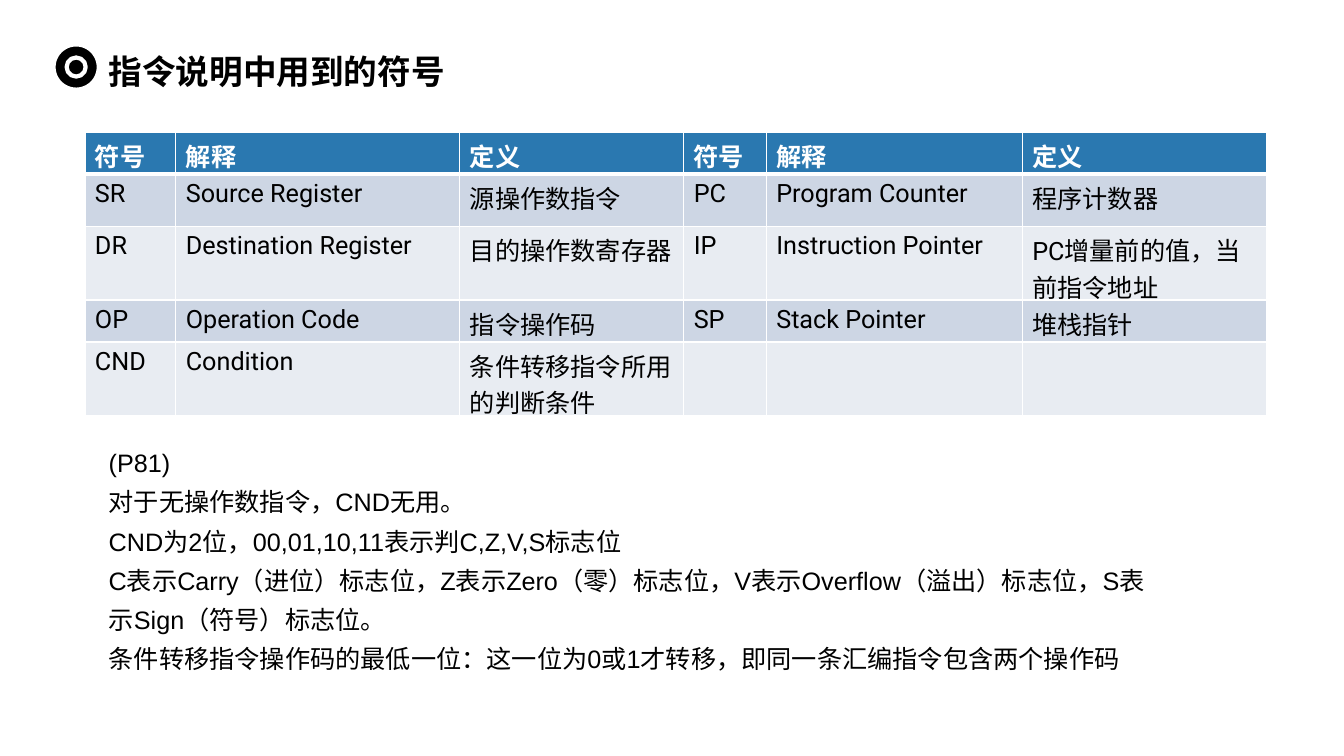
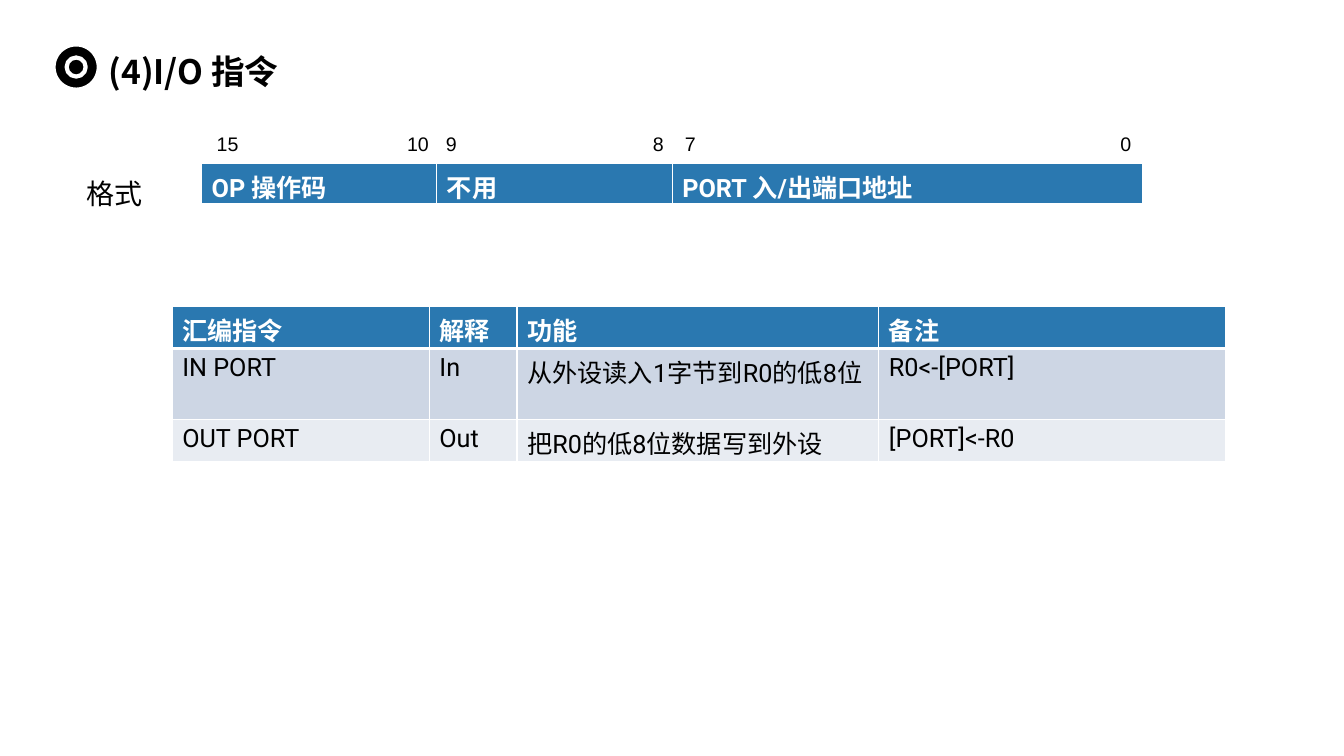
import pptx
import pptx.util
import pptx.dml.color
import pptx.enum.shapes
import pptx.enum.text
import pptx.oxml
import pptx.oxml.ns

Cm = pptx.util.Cm
Pt = pptx.util.Pt

COLORS = {
    "text": "000000",
    "white": "FFFFFF",
    "header": "2A78B0",
    "odd_row": "CDD6E4",
    "even_row": "E8ECF2",
}
RGB = {name: pptx.dml.color.RGBColor.from_string(value) for name, value in COLORS.items()}
CJK_FONT = "Noto Sans CJK SC"
NAMESPACE = pptx.oxml.ns.nsdecls("a")

SYMBOL_ROWS = [
    ["符号", "解释", "定义", "符号", "解释", "定义"],
    ["SR", "Source Register", "源操作数指令", "PC", "Program Counter", "程序计数器"],
    ["DR", "Destination Register", "目的操作数寄存器",
     "IP", "Instruction Pointer", "PC增量前的值，当前指令地址"],
    ["OP", "Operation Code", "指令操作码", "SP", "Stack Pointer", "堆栈指针"],
    ["CND", "Condition", "条件转移指令所用的判断条件", "", "", ""],
]
FORMAT_ROWS = [["OP 操作码", "不用", "PORT 入/出端口地址"]]
IO_ROWS = [
    ["汇编指令", "解释", "功能", "备注"],
    ["IN PORT", "In", "从外设读入1字节到R0的低8位", "R0<-[PORT]"],
    ["OUT PORT", "Out", "把R0的低8位数据写到外设", "[PORT]<-R0"],
]
SYMBOL_NOTES = [
    "(P81)",
    "对于无操作数指令，CND无用。",
    "CND为2位，00,01,10,11表示判C,Z,V,S标志位",
    "C表示Carry（进位）标志位，Z表示Zero（零）标志位，V表示Overflow（溢出）标志位，S表示Sign（符号）标志位。",
    "条件转移指令操作码的最低一位：这一位为0或1才转移，即同一条汇编指令包含两个操作码",
]

# One entry per slide: texts are (left, top, width, height, size, lines, tab stops),
# tables are (left, top, column widths, row heights, rows), all lengths in centimetres.
SLIDES = [
    {
        "title": "指令说明中用到的符号",
        "tables": [(2.14, 3.33, [2.29, 7.16, 5.64, 2.08, 6.45, 6.15],
                    [1.06, 1.32, 1.85, 1.06, 1.85], SYMBOL_ROWS)],
        "texts": [(2.49, 10.92, 26.92, 6.25, 18, SYMBOL_NOTES, [])],
    },
    {
        "title": "(4)I/O 指令",
        "tables": [
            (5.08, 4.11, [5.93, 5.93, 11.85], [1.06], FORMAT_ROWS),
            (4.34, 7.72, [6.48, 2.21, 9.12, 8.74], [1.06, 1.79, 1.06], IO_ROWS),
        ],
        "texts": [
            (5.21, 3.02, 24.05, 1.04, 14, ["15\t10\t9\t8\t7\t0"],
             [("r", 5.35), ("l", 5.78), ("r", 11.27), ("l", 11.8), ("r", 23.05)]),
            (1.93, 4.06, 2.2, 1.37, 20, ["格式"], []),
        ],
    },
]


def format_runs(para, size, font, color, bold=False):
    """Style every run, naming a Chinese font next to the Latin one."""
    for span in para.runs:
        span.font.size = Pt(size)
        span.font.bold = bold
        span.font.color.rgb = RGB[color]
        span.font.name = font
        span.font._element.append(
            pptx.oxml.parse_xml(f'<a:ea {NAMESPACE} typeface="{CJK_FONT}"/>'))


def add_text(page, place, lines, size, font, spacing, bold=False, tabs=()):
    box = page.shapes.add_textbox(*[Cm(length) for length in place])
    frame = box.text_frame
    frame.word_wrap = True
    for index, line in enumerate(lines):
        para = frame.paragraphs[0] if index == 0 else frame.add_paragraph()
        para.text = line
        para.line_spacing = spacing
        if tabs:
            stops = "".join(f'<a:tab pos="{Cm(stop)}" algn="{side}"/>' for side, stop in tabs)
            para._p.get_or_add_pPr().append(
                pptx.oxml.parse_xml(f"<a:tabLst {NAMESPACE}>{stops}</a:tabLst>"))
        format_runs(para, size, font, "text", bold)
    return box


deck = pptx.Presentation()
deck.slide_width = Cm(33.87)
deck.slide_height = Cm(19.05)

for content in SLIDES:
    page = deck.slides.add_slide(deck.slide_layouts[6])

    title = add_text(page, (2.49, 0.81, 30.66, 1.78), [content["title"]], 24, CJK_FONT, 1.2, True)
    title.text_frame.vertical_anchor = pptx.enum.text.MSO_ANCHOR.MIDDLE

    target = page.shapes.add_group_shape()
    for diameter in (1.14, 0.48):
        disc = target.shapes.add_shape(
            pptx.enum.shapes.MSO_SHAPE.OVAL,
            Cm(1.92 - diameter / 2), Cm(1.69 - diameter / 2), Cm(diameter), Cm(diameter))
        disc.shadow.inherit = False
        disc.fill.solid()
        disc.fill.fore_color.rgb = RGB["text"]
        disc.line.color.rgb = RGB["white"]
        disc.line.width = Pt(3)

    for left, top, widths, heights, rows in content["tables"]:
        table = page.shapes.add_table(
            len(rows), len(widths), Cm(left), Cm(top), Cm(sum(widths)), Cm(sum(heights))).table
        for column, width in zip(table.columns, widths):
            column.width = Cm(width)
        for row_index, (row, height) in enumerate(zip(rows, heights)):
            table.rows[row_index].height = Cm(height)
            is_header = row_index == 0
            fill = "header" if is_header else ("even_row", "odd_row")[row_index % 2]
            borders = {"L": 1, "R": 1, "T": 3 if row_index == 1 else 1, "B": 3 if is_header else 1}
            for column_index, words in enumerate(row):
                cell = table.cell(row_index, column_index)
                cell.text_frame.text = words
                format_runs(cell.text_frame.paragraphs[0], 18, "Roboto",
                            "white" if is_header else "text", is_header)
                properties = cell._tc.get_or_add_tcPr()
                for side, points in borders.items():
                    properties.append(pptx.oxml.parse_xml(
                        f'<a:ln{side} {NAMESPACE} w="{Pt(points)}"><a:solidFill>'
                        f'<a:srgbClr val="{COLORS["white"]}"/></a:solidFill></a:ln{side}>'))
                cell.fill.solid()
                cell.fill.fore_color.rgb = RGB[fill]

    for left, top, width, height, size, lines, tabs in content["texts"]:
        add_text(page, (left, top, width, height), lines, size, "Arial", 1.3, tabs=tabs)

deck.save("out.pptx")
